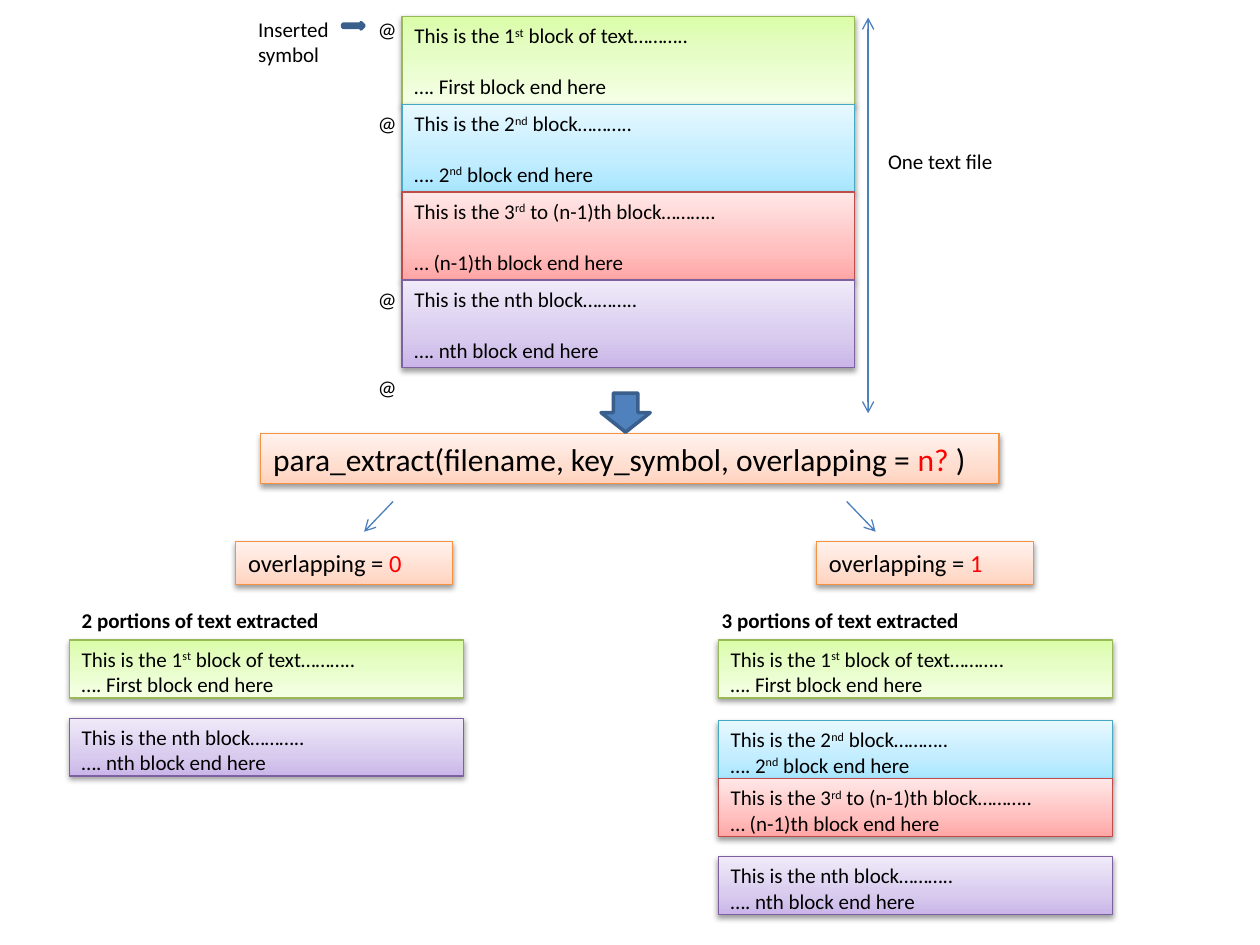
import copy

import pptx
import pptx.dml.color
import pptx.enum.shapes
import pptx.enum.text
import pptx.oxml
import pptx.oxml.ns
import pptx.util

SHAPES = pptx.enum.shapes.MSO_SHAPE
QN = pptx.oxml.ns.qn
NAMESPACE = pptx.oxml.ns.nsdecls("a")

SLIDE_WIDTH, SLIDE_HEIGHT = 10, 7.5
BLACK, RED = "000000", "FF0000"
ARROW_FILL, ARROW_LINE, CONNECTOR_LINE = "4F81BD", "3A5F8C", "4B7EBC"
LINE_PITCH = 14.65  # height of one 12 pt text line

# Each style: gradient stops, gradient angle, outline.
GREEN = (("DAFDA7", "E4FDC2", "F5FFE6"), 270, "98B955")
BLUE = (("A7E6FF", "C1EDFF", "E7F8FF"), 90, "46AAC5")
PINK = (("FFA6A5", "FFC0BF", "FFE7E7"), 90, "BF4C48")
PURPLE = (("C9B5E8", "D8CBEE", "F0EAF9"), 90, "7D60A0")
ORANGE = (("FFD2BD", "FFDED0", "FFF2ED"), 90, "F69240")

# A caret pair encloses superscript, a bar pair encloses red text.
FIRST = (GREEN, ["This is the 1^st^ block of text………..", "…. First block end here"])
SECOND = (BLUE, ["This is the 2^nd^ block………..", "…. 2^nd^ block end here"])
MIDDLE = (PINK, ["This is the 3^rd^ to (n-1)th block………..", "… (n-1)th block end here"])
LAST = (PURPLE, ["This is the nth block………..", "…. nth block end here"])


def color(value):
    return pptx.dml.color.RGBColor.from_string(value)


def across(percent):
    return pptx.util.Inches(SLIDE_WIDTH * percent / 100)


def down(percent):
    return pptx.util.Inches(SLIDE_HEIGHT * percent / 100)


def area(left, top, width, height):
    """Turn shares of the slide, in percent, into lengths."""
    return across(left), down(top), across(width), down(height)


def apply_format(target, values):
    for name, value in values.items():
        setattr(target, name, value)


def add_run(paragraph, text, size, bold, raised, red):
    run = paragraph.add_run()
    run.text = text
    apply_format(run.font, {"name": "Calibri", "size": pptx.util.Pt(size), "bold": bold})
    run.font.color.rgb = color(RED if red else BLACK)
    if raised:
        run.font._element.set("baseline", "30000")


def write(shape, lines, size=12, bold=False, gap=0):
    frame = shape.text_frame
    apply_format(frame, {
        "word_wrap": True,
        "auto_size": pptx.enum.text.MSO_AUTO_SIZE.NONE,
        "vertical_anchor": pptx.enum.text.MSO_ANCHOR.TOP,
    })
    for number, line in enumerate(lines):
        paragraph = frame.add_paragraph() if number else frame.paragraphs[0]
        paragraph.alignment = pptx.enum.text.PP_ALIGN.LEFT
        if number:
            paragraph.space_before = pptx.util.Pt(gap)
        for red_index, colored in enumerate(line.split("|")):
            for raised_index, text in enumerate(colored.split("^")):
                if text:
                    add_run(paragraph, text, size, bold, raised_index % 2, red_index % 2)


def add_label(slide, place, text, bold=False):
    write(slide.shapes.add_textbox(*area(*place)), [text], bold=bold)


def fill_gradient(shape, colors, angle):
    shape.fill.gradient()
    shape.fill.gradient_angle = angle
    stop_list = shape._element.spPr.find(QN("a:gradFill")).find(QN("a:gsLst"))
    stop_list.append(copy.deepcopy(stop_list[-1]))
    for stop, position, value in zip(shape.fill.gradient_stops, (0, 0.35, 1), colors):
        stop.position = position
        stop.color.rgb = color(value)


def add_soft_shadow(shape):
    shape.shadow.inherit = False
    effects = shape._element.spPr.find(QN("a:effectLst"))
    effects.append(pptx.oxml.parse_xml(
        f'<a:outerShdw {NAMESPACE} blurRad="40000" dist="20000" dir="5400000" rotWithShape="0">'
        '<a:srgbClr val="000000"><a:alpha val="38000"/></a:srgbClr></a:outerShdw>'))


def set_line(shape, value, width):
    shape.line.color.rgb = color(value)
    shape.line.width = pptx.util.Pt(width)


def add_box(slide, place, style, lines, size=12, gap=0):
    colors, angle, outline = style
    shape = slide.shapes.add_shape(SHAPES.RECTANGLE, *area(*place))
    fill_gradient(shape, colors, angle)
    set_line(shape, outline, 0.75)
    add_soft_shadow(shape)
    write(shape, lines, size, gap=gap)


def add_block_arrow(slide, kind, place):
    shape = slide.shapes.add_shape(kind, *area(*place))
    shape.shadow.inherit = False
    shape.fill.solid()
    shape.fill.fore_color.rgb = color(ARROW_FILL)
    set_line(shape, ARROW_LINE, 2)


def add_arrow(slide, start, end, heads=("tailEnd",)):
    connector = slide.shapes.add_connector(
        pptx.enum.shapes.MSO_CONNECTOR.STRAIGHT,
        across(start[0]), down(start[1]), across(end[0]), down(end[1]))
    set_line(connector, CONNECTOR_LINE, 0.75)
    for head in heads:
        connector.line._get_or_add_ln().append(
            pptx.oxml.parse_xml(f'<a:{head} {NAMESPACE} type="arrow"/>'))
    connector._element.spPr.append(pptx.oxml.parse_xml(f"<a:effectLst {NAMESPACE}/>"))


def add_text_file(slide):
    """Draw the stacked blocks with their inserted symbols and the file bracket."""
    top, height = 1.73, 9.3
    edges = [top + height * row for row in range(5)]
    for symbol_top in (1.07, edges[1], edges[4], edges[3]):
        add_label(slide, (29, symbol_top, 2.9, 2.53), "@")
    for edge, (style, lines) in zip(edges, (FIRST, SECOND, MIDDLE, LAST)):
        add_box(slide, (31.9, edge, 35.9, height), style, lines, gap=LINE_PITCH)
    add_arrow(slide, (68.9, 1.87), (68.9, 43.73), ("headEnd", "tailEnd"))
    add_label(slide, (69.5, 15.07, 11, 2.53), "One text file")
    add_label(slide, (19.5, 1.07, 8.1, 4.27), "Inserted symbol")
    add_block_arrow(slide, SHAPES.RIGHT_ARROW, (27.2, 2.4, 1.7, 0.67))


def add_call(slide):
    add_box(slide, (20.7, 45.87, 58.6, 5.33), ORANGE,
            ["para_extract(filename, key_symbol, overlapping = |n? |)"], 18)
    add_block_arrow(slide, SHAPES.DOWN_ARROW, (47.7, 41.6, 3.9, 4.13))


def add_outcome(slide, overlap, box_left, arrow_span, title, title_left, left, blocks):
    """Draw one branch: its arrow, overlap value, title and extracted blocks."""
    add_arrow(slide, (arrow_span[0], 53.07), (arrow_span[1], 56.27))
    add_box(slide, (box_left, 57.33, 17.2, 4.53), ORANGE, [f"overlapping = |{overlap}|"], 14)
    add_label(slide, (title_left, 63.6, 33.6, 4), title, bold=True)
    for top, (style, lines) in blocks:
        add_box(slide, (left, top, 31.3, 6.13), style, lines)


def main():
    presentation = pptx.Presentation()
    presentation.slide_width = pptx.util.Inches(SLIDE_WIDTH)
    presentation.slide_height = pptx.util.Inches(SLIDE_HEIGHT)
    slide = presentation.slides.add_slide(presentation.slide_layouts[6])
    add_text_file(slide)
    add_call(slide)
    add_outcome(slide, 0, 18.7, (31.2, 28.9), "2 portions of text extracted", 5.5, 5.5,
                [(67.73, FIRST), (76, LAST)])
    add_outcome(slide, 1, 64.8, (67.2, 69.5), "3 portions of text extracted", 56.3, 57,
                [(67.73, FIRST), (76.27, SECOND), (82.4, MIDDLE), (90.67, LAST)])
    presentation.save("out.pptx")


if __name__ == "__main__":
    main()
